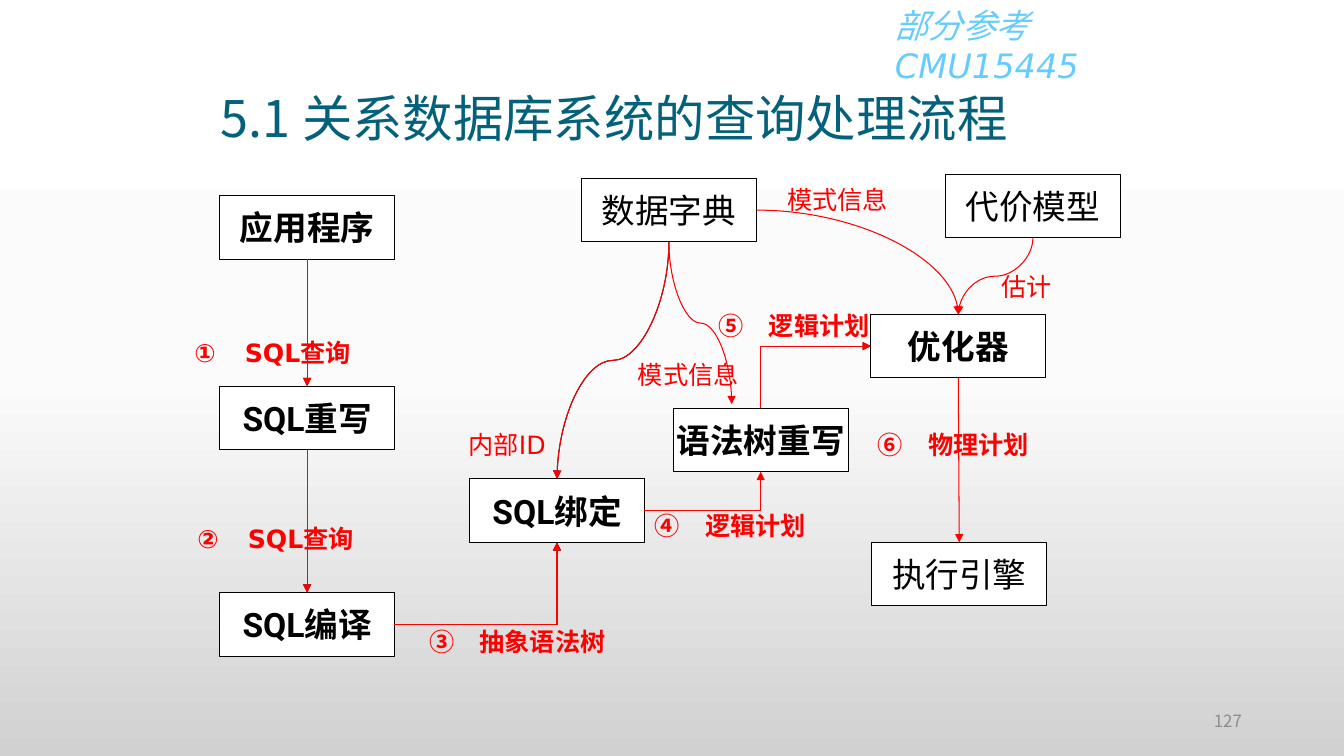
"""Build the slide on the query processing flow of a relational database system."""
from copy import deepcopy

from lxml import etree
from pptx import Presentation
from pptx.dml.color import RGBColor
from pptx.enum.shapes import MSO_CONNECTOR, MSO_SHAPE
from pptx.enum.text import MSO_ANCHOR, MSO_AUTO_SIZE, PP_ALIGN
from pptx.oxml.ns import qn
from pptx.util import Pt

RECTANGLE = MSO_SHAPE.RECTANGLE
STRAIGHT, ELBOW, CURVE = MSO_CONNECTOR.STRAIGHT, MSO_CONNECTOR.ELBOW, MSO_CONNECTOR.CURVE
LEFT, CENTER, RIGHT = PP_ALIGN.LEFT, PP_ALIGN.CENTER, PP_ALIGN.RIGHT
MIDDLE, TOP_ANCHOR = MSO_ANCHOR.MIDDLE, MSO_ANCHOR.TOP
NO_AUTOFIT = MSO_AUTO_SIZE.NONE
TOP, WEST, BOTTOM, EAST, TOP_LEFT = range(5)
SANS, HEADING, CJK = "DejaVu Sans", "Roboto", "Noto Sans CJK SC"
COLOURS = {"black": "000000", "white": "FFFFFF", "red": "FF0000", "title": "04617B",
           "note": "66CCFF", "number": "8C8C8C"}
BACKDROP = [(0, "FFFFFF"), (0.5, "FBFBFB"), (1, "D1D1D1")]
STEP_WIDTH, STEP_HEIGHT = 124.8, 45.4


def write(shape, text, size, face, colour, bold=False, align=LEFT, anchor=TOP_ANCHOR, wrap=True):
    """Put one formatted run into the shape and return its paragraph."""
    frame = shape.text_frame
    frame.auto_size = NO_AUTOFIT
    frame.word_wrap = wrap
    frame.vertical_anchor = anchor
    paragraph = frame.paragraphs[0]
    paragraph.alignment = align
    run = paragraph.add_run()
    run.text = text
    run.font.size = Pt(size)
    run.font.name = face
    run.font.bold = bold
    run.font.color.rgb = RGBColor.from_string(COLOURS[colour])
    etree.SubElement(run.font._element, qn("a:ea"), typeface=CJK)
    return paragraph


def text_box(left, top, width, height):
    """Add an empty text box placed in points."""
    return slide.shapes.add_textbox(Pt(left), Pt(top), Pt(width), Pt(height))


prs = Presentation()
prs.slide_width, prs.slide_height = Pt(960), Pt(540)
slide = prs.slides.add_slide(prs.slide_layouts[5])

backdrop = slide.background.fill
backdrop.gradient()
backdrop.gradient_angle = 270
stop_list = slide._element.find(".//" + qn("a:gsLst"))
stop_list.insert(1, deepcopy(stop_list[0]))
for stop, (position, shade) in zip(backdrop.gradient_stops, BACKDROP):
    stop.position = position
    stop.color.rgb = RGBColor.from_string(shade)

title = slide.shapes.title
title.left, title.top, title.width, title.height = Pt(150.5), Pt(58.3), Pt(607), Pt(51)
write(title, "5.1 关系数据库系统的查询处理流程", 36, CJK, "title")

reference = write(text_box(632.2, 0, 225, 65), "部分参考CMU15445", 24, SANS, "note")
reference.runs[0].font.italic = True

steps = [
    ("应用程序", 157, 139.7, True),
    ("SQL重写", 157, 275.8, True),
    ("SQL编译", 157, 423.4, True),
    ("SQL绑定", 335.5, 342, True),
    ("语法树重写", 481, 291.6, True),
    ("优化器", 622.1, 224.6, True),
    ("代价模型", 675.4, 124.6, False),
    ("执行引擎", 622.8, 387.4, False),
    ("数据字典", 415.4, 127.4, False),
]
boxes, sites = {}, {}
for name, left, top, bold in steps:
    box = slide.shapes.add_shape(RECTANGLE, Pt(left), Pt(top), Pt(STEP_WIDTH), Pt(STEP_HEIGHT))
    box.shadow.inherit = False
    box.fill.solid()
    box.fill.fore_color.rgb = RGBColor.from_string(COLOURS["white"])
    box.line.color.rgb = RGBColor.from_string(COLOURS["black"])
    box.line.width = Pt(0.75)
    write(box, name, 24, HEADING if bold else SANS, "black", bold, CENTER, MIDDLE, False)
    boxes[name] = box
    middle_x, middle_y = left + STEP_WIDTH / 2, top + STEP_HEIGHT / 2
    sites[name] = [(middle_x, top), (left, middle_y), (middle_x, top + STEP_HEIGHT),
                   (left + STEP_WIDTH, middle_y), (left + 41.7, top - 2.9)]

links = [
    ("应用程序", BOTTOM, "SQL重写", TOP, STRAIGHT, "line", 0, ["black", "red"]),
    ("SQL重写", BOTTOM, "SQL编译", TOP, STRAIGHT, "line", 0, ["black", "red"]),
    ("SQL编译", EAST, "SQL绑定", BOTTOM, ELBOW, "bentConnector2", 0, ["black", "red"]),
    ("SQL绑定", EAST, "语法树重写", BOTTOM, ELBOW, "bentConnector2", 0, ["red"]),
    ("语法树重写", TOP, "优化器", WEST, ELBOW, "bentConnector2", 90, ["black", "red"]),
    ("数据字典", BOTTOM, "SQL绑定", TOP, CURVE, "curvedConnector3", 90, ["black", "red"]),
    ("数据字典", EAST, "优化器", TOP, CURVE, "curvedConnector2", 0, ["red"]),
    ("代价模型", BOTTOM, "优化器", TOP, CURVE, "curvedConnector3", 90, ["red"]),
    ("优化器", BOTTOM, "执行引擎", TOP, STRAIGHT, "line", 0, ["red"]),
    ("数据字典", BOTTOM, "语法树重写", TOP_LEFT, CURVE, "curvedConnector3", 270, ["red"]),
]
for source, source_side, target, target_side, kind, preset, rotation, colours in links:
    x1, y1 = sites[source][source_side]
    x2, y2 = sites[target][target_side]
    if rotation:
        turn = 1 if rotation == 90 else -1
        centre_x, centre_y = (x1 + x2) / 2, (y1 + y2) / 2
        reach_x, reach_y = turn * (y2 - y1) / 2, turn * (x1 - x2) / 2
        x1, y1 = centre_x - reach_x, centre_y - reach_y
        x2, y2 = centre_x + reach_x, centre_y + reach_y
    for colour in colours:
        arrow = slide.shapes.add_connector(kind, Pt(x1), Pt(y1), Pt(x2), Pt(y2))
        arrow.rotation = rotation
        if kind == STRAIGHT:
            arrow.begin_connect(boxes[source], source_side)
            arrow.end_connect(boxes[target], target_side)
        arrow.line.color.rgb = RGBColor.from_string(COLOURS[colour])
        arrow.line.width = Pt(0.75)
        properties = arrow._element.spPr
        properties.find(qn("a:prstGeom")).set("prst", preset)
        etree.SubElement(properties.find(qn("a:ln")), qn("a:tailEnd"), type="triangle")
        etree.SubElement(properties, qn("a:effectLst"))

numbered_flows = [
    ("SQL查询", 131.8, 237.6, 163.4),
    ("SQL查询", 133.9, 370.1, 163.4),
    ("抽象语法树", 299.5, 443.5, 177.8),
    ("逻辑计划", 460.8, 360.7, 177.8),
    ("逻辑计划", 506.2, 218.2, 177.8),
    ("物理计划", 619.9, 303.1, 177.8),
]
for number, (flow, left, top, width) in enumerate(numbered_flows, 1):
    paragraph = write(text_box(left, top, width, 29), flow, 18, SANS, "red", True)
    indents = paragraph._p.get_or_add_pPr()
    indents.set("marL", str(Pt(36)))
    indents.set("indent", str(Pt(-36)))
    etree.SubElement(indents, qn("a:buAutoNum"), type="circleNumDbPlain", startAt=str(number))

inputs = [
    ("内部ID", 327.6, 303.1, 82.8),
    ("模式信息", 448.6, 253.4, 106.6),
    ("模式信息", 555.1, 128.2, 106.6),
    ("估计", 708.5, 190.1, 106.6),
]
for information, left, top, width in inputs:
    write(text_box(left, top, width, 29), information, 18, SANS, "red")

write(text_box(678.2, 500.4, 216, 28.8), "127", 12, CJK, "number", align=RIGHT, anchor=MIDDLE)

prs.save("out.pptx")
